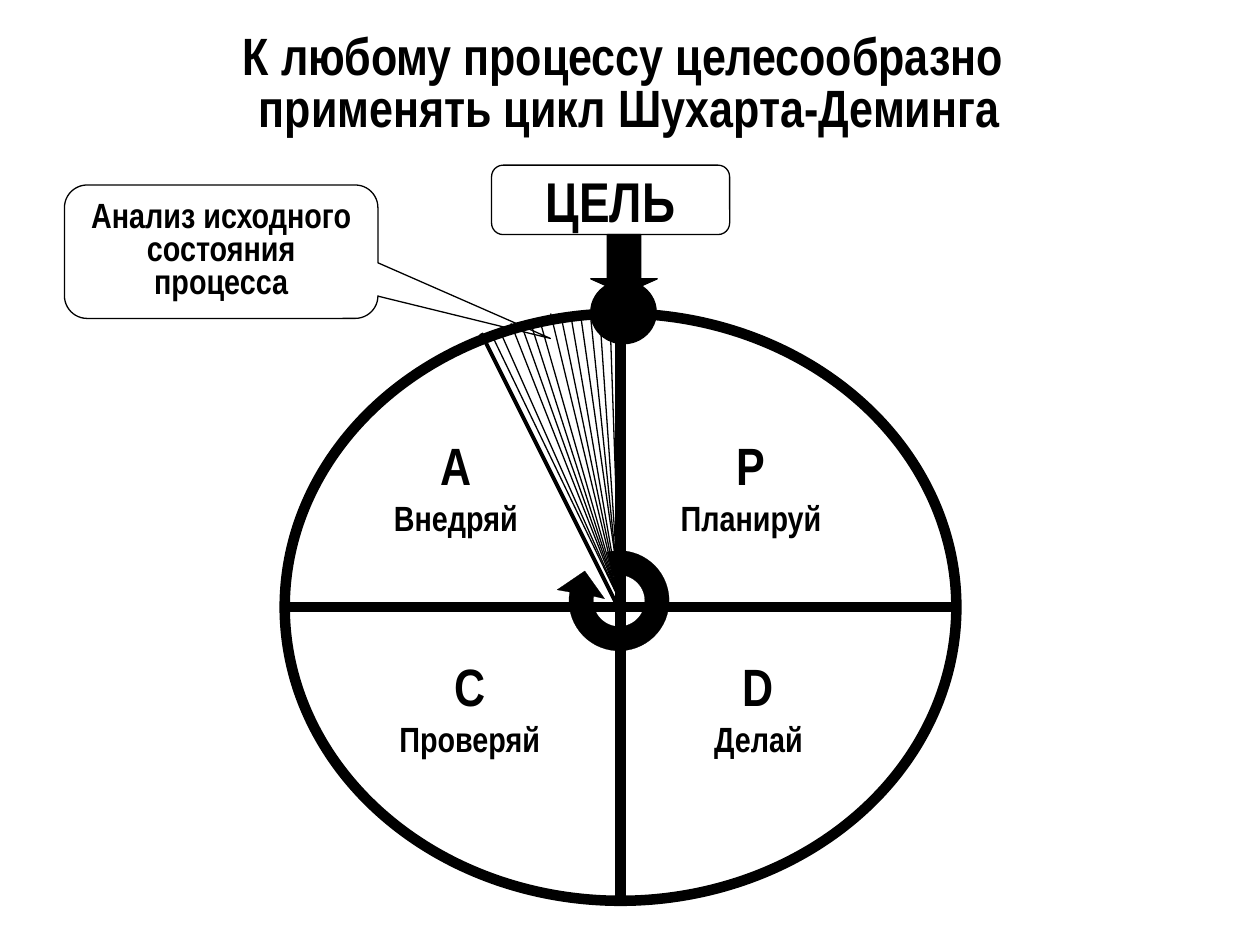
import math
from pptx import Presentation, util as u
from pptx.dml.color import RGBColor
from pptx.enum import shapes as sh, text as tx
from pptx.oxml.ns import qn
from lxml import etree

BLACK = RGBColor(0, 0, 0)
FONT = "Arial Narrow"
KIND = sh.MSO_SHAPE


def paint(shape, fill=False, width=0.75):
    shape.shadow.inherit = False
    if fill:
        shape.fill.solid()
        shape.fill.fore_color.rgb = BLACK
    else:
        shape.fill.background()
    shape.line.color.rgb = BLACK
    shape.line.width = u.Pt(width)


def put(slide, kind, box, fill=False, width=0.75):
    shape = slide.shapes.add_shape(kind, *map(u.Cm, box))
    paint(shape, fill, width)
    return shape


def write(shape, words, sizes, lead=None, wrap=True):
    frame = shape.text_frame
    frame.word_wrap = wrap
    frame.auto_size = tx.MSO_AUTO_SIZE.NONE
    frame.vertical_anchor = tx.MSO_ANCHOR.MIDDLE
    frame.text = words
    for par, size in zip(frame.paragraphs, sizes):
        par.alignment = tx.PP_ALIGN.CENTER
        if lead:
            par.line_spacing = u.Pt(lead)
        for run in par.runs:
            run.font.name = FONT
            run.font.size = u.Pt(size)
            run.font.bold = True
            run.font.color.rgb = BLACK


def head(slide, box):
    title = slide.shapes.title
    title.left, title.top, title.width, title.height = map(u.Cm, box)
    write(title, "К любому процессу целесообразно \vприменять цикл Шухарта-Деминга", [30], 30)


def wheel(slide, box):
    left, top, wide, high = box
    put(slide, KIND.FLOWCHART_OR, box, width=6)
    parts = [
        ("А\nВнедряй", 3.45, 2.42),
        ("Р\nПланируй", 9.4, 2.42),
        ("С\nПроверяй", 3.73, 6.87),
        ("D\nДелай", 9.55, 6.87),
    ]
    for words, mid, down in parts:
        label = slide.shapes.add_textbox(
            u.Cm(left + mid - 2), u.Cm(top + down), u.Cm(4), u.Cm(2.1))
        write(label, words, [30, 20])
        label.text_frame.margin_top = label.text_frame.margin_bottom = 0
        label.text_frame.vertical_anchor = tx.MSO_ANCHOR.TOP
    put(slide, KIND.OVAL, (left + 6.17, top - 0.66, 1.32, 1.27), fill=True)


def fan(slide, box):
    left, top, wide, high = box
    tops = [0.4] * 3 + [0.2] * 4 + [0] * 5 + [0.2] * 2
    feet = [high] + [high - 0.2] * 9 + [high - 0.4, high - 0.2] + [high] * 2
    for i, (start, end) in enumerate(zip(tops, feet)):
        ray = slide.shapes.add_connector(
            sh.MSO_CONNECTOR.STRAIGHT,
            u.Cm(left + 0.2 * i), u.Cm(top + start),
            u.Cm(left + wide), u.Cm(top + end))
        ray.line.color.rgb = BLACK
        ray.line.width = u.Pt(0.75 if i else 2.25)
        etree.SubElement(ray._element.spPr, qn("a:effectLst"))


def goal(slide, box):
    left, top, wide, high = box
    write(put(slide, KIND.ROUNDED_RECTANGLE, box), "ЦЕЛЬ", [32], wrap=False)
    arrow = put(slide, KIND.DOWN_ARROW, (left + 2, top + high, 1.34, 1.19), fill=True)
    arrow.adjustments[1] = 0.25


def note(slide, box):
    shape = put(slide, KIND.ROUNDED_RECTANGULAR_CALLOUT, box)
    for i, val in enumerate((1.05, 0.65, 0.17)):
        shape.adjustments[i] = val
    write(shape, "Анализ исходного состояния процесса", [20], 19)


def spin(slide, box):
    left, top, wide, high = box
    out = high / 2

    def arc(rad, turns):
        return [(wide - out + rad * math.cos(math.radians(t)),
                 out + rad * math.sin(math.radians(t))) for t in turns]

    dots = arc(0.52, range(190, -105, -6)) + arc(out, range(-104, 191, 6))
    dots += [(0, 0.79), (0.56, 0.41), (0.96, 0.97)]
    dots = [(u.Cm(left + x), u.Cm(top + y)) for x, y in dots]
    path = slide.shapes.build_freeform(*dots[0])
    path.add_line_segments(dots[1:], close=True)
    paint(path.convert_to_shape(), fill=True, width=0.11)


def main():
    deck = Presentation()
    deck.slide_width, deck.slide_height = u.Cm(25.4), u.Cm(19.05)
    slide = deck.slides.add_slide(deck.slide_layouts[5])
    head(slide, (0.69, 0.71, 24, 2.03))
    wheel(slide, (5.74, 6.32, 13.54, 11.84))
    fan(slide, (9.7, 6.32, 2.8, 6))
    goal(slide, (9.91, 3.33, 4.8, 1.4))
    note(slide, (1.3, 3.73, 6.32, 2.69))
    spin(slide, (11.23, 11.1, 2.26, 2.02))
    deck.save("out.pptx")


if __name__ == "__main__":
    main()
